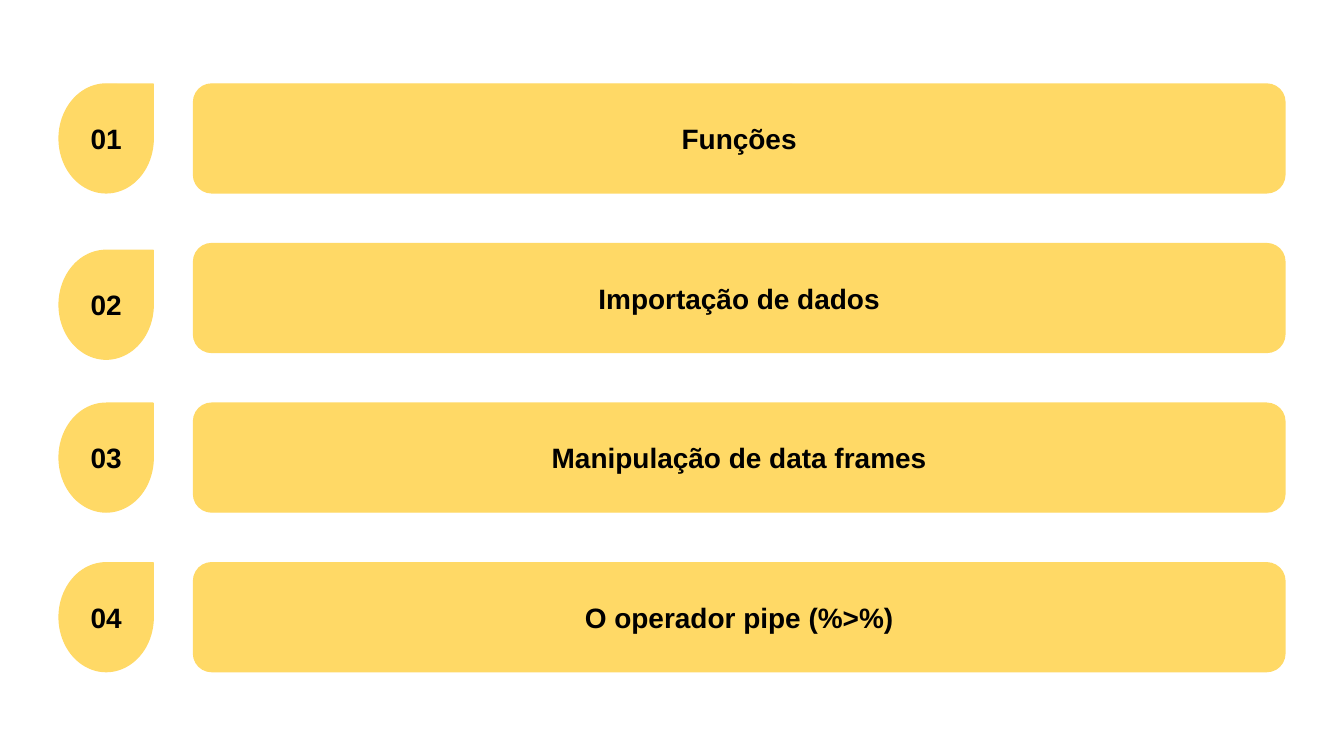
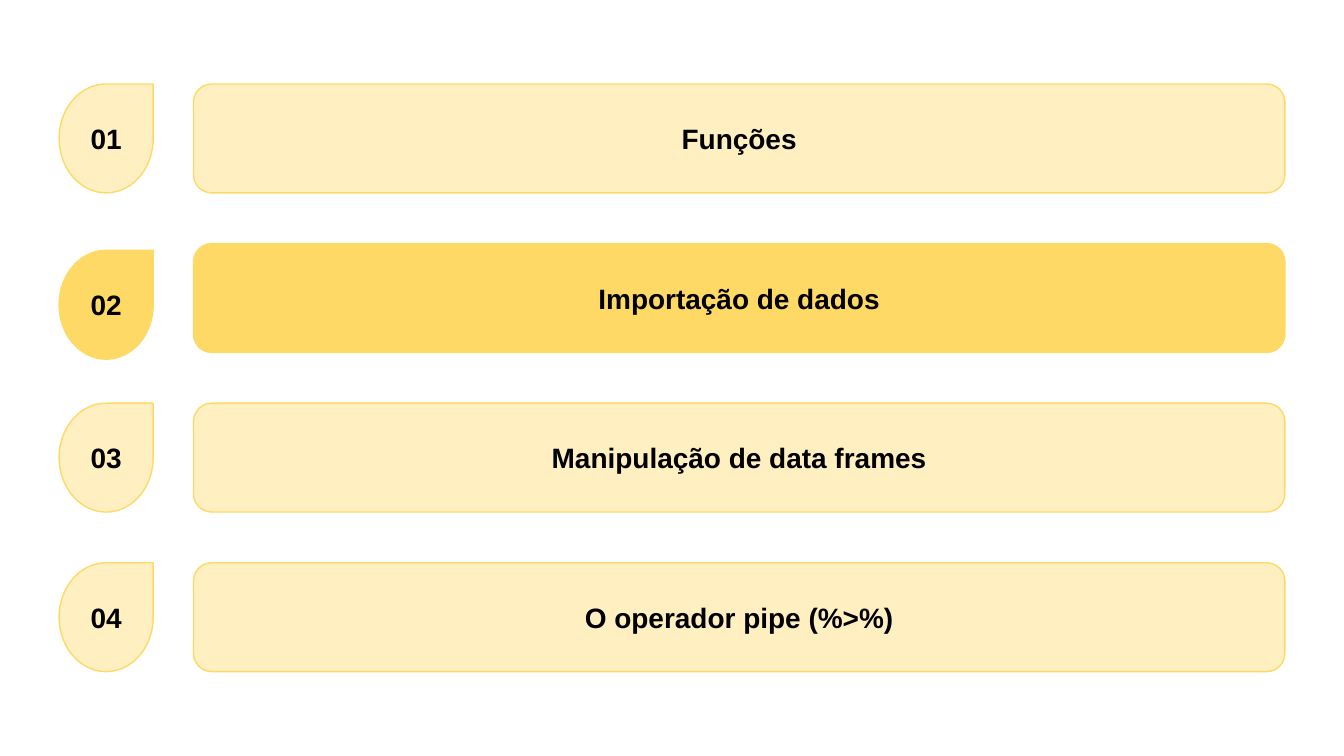
from pptx import Presentation
from pptx.dml.color import RGBColor
from pptx.enum.shapes import MSO_SHAPE as Kind
from pptx.enum.text import MSO_ANCHOR as Anchor, PP_ALIGN as Align
from pptx.oxml.ns import qn
from pptx.util import Inches, Pt
from lxml.etree import SubElement

TOPICS = ["Funções", "Importação de dados", "Manipulação de data frames",
          "O operador pipe (%>%)"]
FIRST = 5 / 8
STEP = 19 / 16


def color(code):
    return RGBColor.from_string(code)


class Deck:
    gold = "FFD966"
    ink = "000000"
    font = "Arial"
    size = 15
    high = 0.81
    inset = 0.1
    faint = 40

    def __init__(self):
        self.prs = Presentation()
        self.prs.slide_width = Inches(10)
        self.prs.slide_height = Inches(10) * 9 // 16
        self.slide = None

    def page(self):
        self.slide = self.prs.slides.add_slide(self.prs.slide_layouts[6])

    def box(self, kind, left, top, width, text, adjust, dim):
        shape = self.slide.shapes.add_shape(
            kind, Inches(left), Inches(top), Inches(width), Inches(self.high))
        shape.shadow.inherit = False
        shape.adjustments[0] = adjust
        shape.fill.solid()
        shape.fill.fore_color.rgb = color(self.gold)
        if dim:
            tint = shape._element.spPr.find(qn("a:solidFill")).find(qn("a:srgbClr"))
            SubElement(tint, qn("a:alpha"), val=str(self.faint * 1000))
        shape.line.color.rgb = color(self.gold)
        shape.line.width = Pt(0.75)
        self.label(shape.text_frame, text)

    def label(self, frame, text):
        frame.margin_left = frame.margin_right = Inches(self.inset)
        frame.margin_top = frame.margin_bottom = Inches(self.inset)
        frame.vertical_anchor = Anchor.MIDDLE
        frame.word_wrap = True
        para = frame.paragraphs[0]
        para.text = text
        para.alignment = Align.CENTER
        para.font.name = self.font
        para.font.size = Pt(self.size)
        para.font.bold = True
        para.font.color.rgb = color(self.ink)

    def bar(self, top, text, dim):
        self.box(Kind.ROUNDED_RECTANGLE, 1.44, top, 8.12, text, 1 / 6, dim)

    def drop(self, top, text, dim):
        self.box(Kind.TEAR, 0.44, top, 0.7, text, 1, dim)

    def agenda(self, active):
        self.page()
        for row, topic in enumerate(TOPICS):
            top = FIRST + row * STEP
            dim = row not in active
            nudge = 0.05 if row == 1 else 0
            self.bar(top, topic, dim)
            self.drop(top + nudge, f"{row + 1:02}", dim)


deck = Deck()
deck.agenda(range(len(TOPICS)))
deck.agenda([1])
deck.prs.save("out.pptx")
